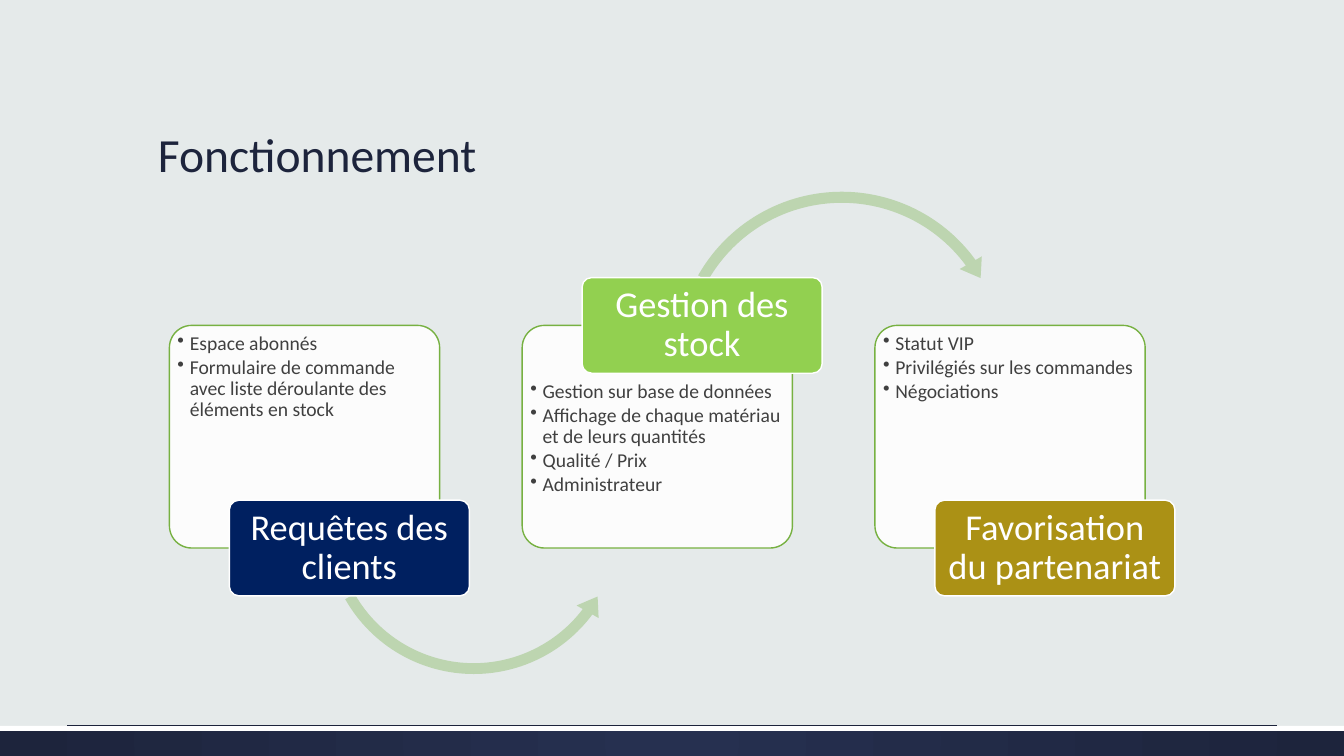
from lxml import etree
from pptx import Presentation
from pptx.dml.color import RGBColor
from pptx.enum.shapes import MSO_CONNECTOR, MSO_SHAPE
from pptx.enum.text import MSO_ANCHOR, PP_ALIGN
from pptx.oxml.ns import qn
from pptx.util import Cm, Pt

RECT, ROUNDED = MSO_SHAPE.RECTANGLE, MSO_SHAPE.ROUNDED_RECTANGLE
ARC_UNDER, ARC_OVER = MSO_SHAPE.LEFT_CIRCULAR_ARROW, MSO_SHAPE.CIRCULAR_ARROW
TOP, MIDDLE, BOTTOM = MSO_ANCHOR.TOP, MSO_ANCHOR.MIDDLE, MSO_ANCHOR.BOTTOM
LEFT, CENTER = PP_ALIGN.LEFT, PP_ALIGN.CENTER

FONT = "Calibri"
COLORS = {
    "background": "E5EAEA", "navy": "1D243C", "navy_light": "263050",
    "white": "FFFFFF", "card_line": "77B142", "body": "404040", "arc": "BDD5B0",
    "blue": "002060", "green": "92D050", "gold": "AB9115",
}

TITLE = "Fonctionnement"
# Each step: label, label colour, label on the top edge of its card, details
STEPS = [
    ("Requêtes des clients", "blue", False,
     ["Espace abonnés",
      "Formulaire de commande avec liste déroulante des éléments en stock"]),
    ("Gestion des stock", "green", True,
     ["Gestion sur base de données",
      "Affichage de chaque matériau et de leurs quantités",
      "Qualité / Prix", "Administrateur"]),
    ("Favorisation du partenariat", "gold", False,
     ["Statut VIP", "Privilégiés sur les commandes", "Négociations"]),
]
# Arc leaving each step but the last: shape, left, top, size, adjustments
ARCS = [
    (ARC_UNDER, 8.03, 9.35, 7.82, (0.035, 4.405, 22.16, 90.245, 0.041)),
    (ARC_OVER, 16.87, 4.65, 8.69, (0.032, 3.931, 194.314, 125.755, 0.037)),
]

# Lengths in centimetres
SLIDE_W, SLIDE_H = 33.87, 19.05
FOOTER_TOP, STRIP_H = 18.29, 0.13
RULE_LEFT, RULE_RIGHT, RULE_Y = 1.7, 32.17, 18.27
CARD_LEFT, CARD_TOP, CARD_W, CARD_H, CARD_PITCH = 4.27, 8.2, 6.81, 5.61, 8.89
LABEL_W, LABEL_H, LABEL_SHIFT = 6.05, 2.41, 1.51
BULLET_INDENT = 0.31


def rgb(name):
    return RGBColor.from_string(COLORS[name])


def add_box(kind, left, top, width, height, fill, line=None):
    box = slide.shapes.add_shape(kind, Cm(left), Cm(top), Cm(width), Cm(height))
    box.shadow.inherit = False
    box.fill.solid()
    box.fill.fore_color.rgb = rgb(fill)
    if line:
        box.line.color.rgb = rgb(line)
        box.line.width = Pt(1)
    else:
        box.line.fill.background()
    return box


def write(shape, lines, size, color, align, anchor, insets):
    """Fill a shape with one paragraph per line; insets are left, top, right, bottom."""
    frame = shape.text_frame
    frame.word_wrap = True
    frame.vertical_anchor = anchor
    (frame.margin_left, frame.margin_top,
     frame.margin_right, frame.margin_bottom) = map(Cm, insets)
    for i, line in enumerate(lines):
        paragraph = frame.add_paragraph() if i else frame.paragraphs[0]
        paragraph.alignment = align
        paragraph.line_spacing = 0.9
        run = paragraph.add_run()
        run.text = line
        run.font.name = FONT
        run.font.size = Pt(size)
        run.font.color.rgb = rgb(color)
    return frame.paragraphs


def add_bullet(paragraph):
    paragraph.space_after = Pt(2)
    properties = paragraph._p.get_or_add_pPr()
    properties.set("marL", str(Cm(BULLET_INDENT)))
    properties.set("indent", str(-Cm(BULLET_INDENT)))
    etree.SubElement(properties, qn("a:buChar"), char="•")


def make_radial(shape, inner, outer):
    """Give the shape a gradient that runs from its centre outwards."""
    shape.fill.gradient()
    for stop, name in zip(shape.fill.gradient_stops, (inner, outer)):
        stop.color.rgb = rgb(name)
    gradient = shape._element.spPr.find(qn("a:gradFill"))
    gradient.remove(gradient.find(qn("a:lin")))
    circle = etree.SubElement(gradient, qn("a:path"), path="circle")
    etree.SubElement(circle, qn("a:fillToRect"), l="50000", t="50000", r="50000", b="50000")


def add_footer():
    bar = add_box(RECT, 0, FOOTER_TOP, SLIDE_W, SLIDE_H - FOOTER_TOP, "navy")
    make_radial(bar, "navy_light", "navy")
    add_box(RECT, 0, FOOTER_TOP, SLIDE_W, STRIP_H, "white")
    rule = slide.shapes.add_connector(MSO_CONNECTOR.STRAIGHT, Cm(RULE_LEFT), Cm(RULE_Y),
                                      Cm(RULE_RIGHT), Cm(RULE_Y))
    rule.line.color.rgb = rgb("navy")
    rule.line.width = Pt(0.75)
    etree.SubElement(rule._element.spPr, qn("a:effectLst"))


def add_card(left, details, label_on_top):
    card = add_box(ROUNDED, left, CARD_TOP, CARD_W, CARD_H, "white", "card_line")
    card.adjustments[0] = 0.1
    white = card._element.spPr.find(qn("a:solidFill")).find(qn("a:srgbClr"))
    etree.SubElement(white, qn("a:alpha"), val="90000")
    top_inset = 0.04 + (LABEL_H / 2 if label_on_top else 0)
    for paragraph in write(card, details, 14, "body", LEFT, TOP,
                           (0.04, top_inset, 0.04, 0.04)):
        add_bullet(paragraph)


def add_arc(kind, left, top, size, adjustments):
    arc = add_box(kind, left, top, size, size, "arc")
    for i, value in enumerate(adjustments):
        arc.adjustments[i] = value


def add_label(card_left, text, color, on_top):
    """Centre the label on the top or bottom edge of its card."""
    edge = CARD_TOP if on_top else CARD_TOP + CARD_H
    label = add_box(ROUNDED, card_left + LABEL_SHIFT, edge - LABEL_H / 2,
                    LABEL_W, LABEL_H, color, "white")
    label.adjustments[0] = 0.1
    write(label, [text], 26, "white", CENTER, MIDDLE, (0.13, 0.09, 0.13, 0.09))


prs = Presentation()
prs.slide_width, prs.slide_height = Cm(SLIDE_W), Cm(SLIDE_H)
slide = prs.slides.add_slide(prs.slide_layouts[6])
slide.background.fill.solid()
slide.background.fill.fore_color.rgb = rgb("background")

add_footer()
title = slide.shapes.add_textbox(Cm(3.73), Cm(1.3), Cm(26.42), Cm(3.43))
write(title, [TITLE], 34, "navy", LEFT, BOTTOM, (0.25, 0.13, 0.25, 0.13))

for i, (name, color, on_top, details) in enumerate(STEPS):
    left = CARD_LEFT + i * CARD_PITCH
    add_card(left, details, on_top)
    if i < len(ARCS):
        add_arc(*ARCS[i])
    add_label(left, name, color, on_top)

prs.save("out.pptx")
